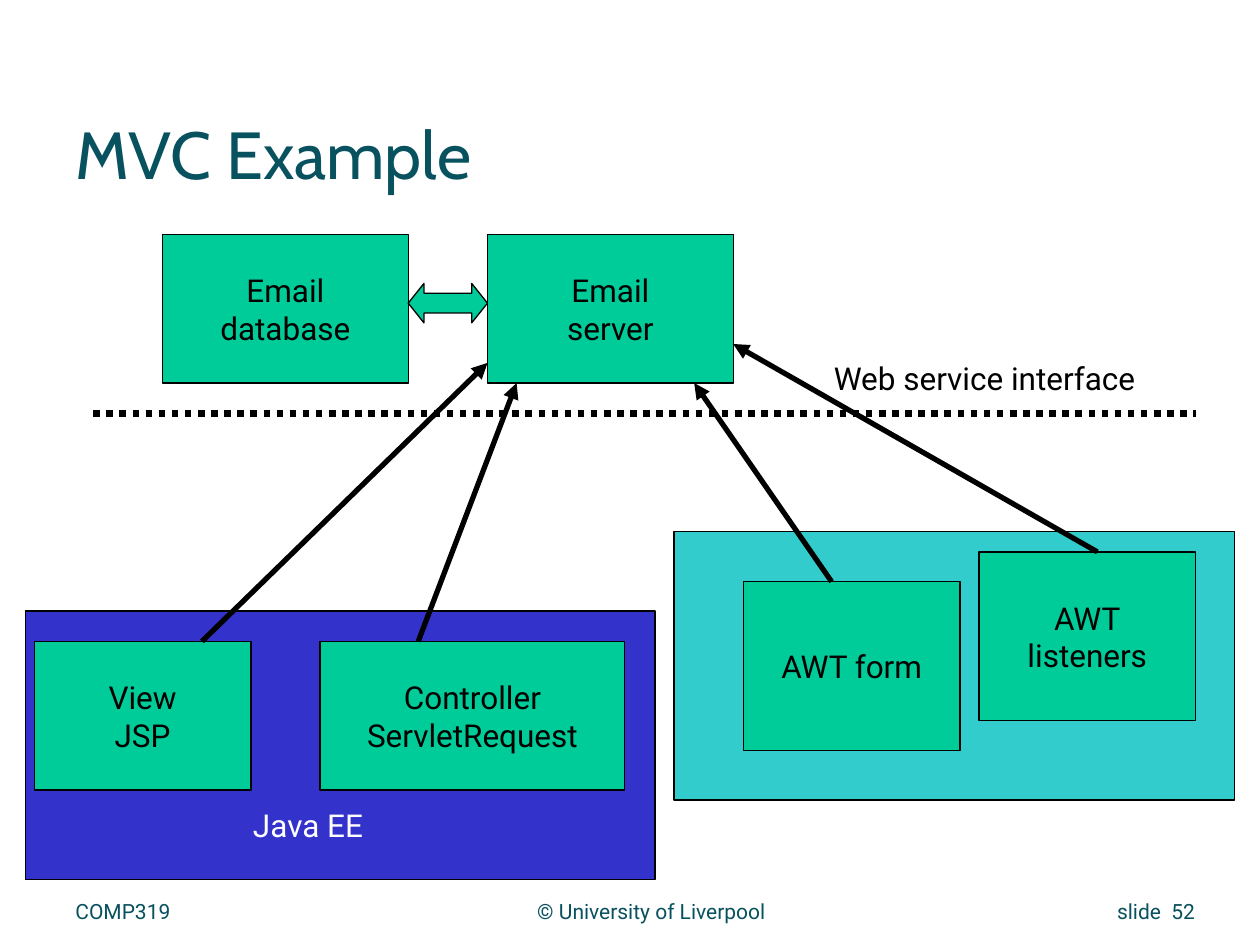
from lxml import etree
from pptx import Presentation
from pptx.dml.color import RGBColor
from pptx.enum.dml import MSO_LINE
from pptx.enum.shapes import MSO_CONNECTOR, MSO_SHAPE
from pptx.enum.text import MSO_ANCHOR, MSO_AUTO_SIZE, PP_ALIGN
from pptx.oxml.ns import qn
from pptx.util import Pt

LEFT, CENTER, RIGHT = PP_ALIGN.LEFT, PP_ALIGN.CENTER, PP_ALIGN.RIGHT
TOP, MIDDLE = MSO_ANCHOR.TOP, MSO_ANCHOR.MIDDLE
RECTANGLE, DOUBLE_ARROW = MSO_SHAPE.RECTANGLE, MSO_SHAPE.LEFT_RIGHT_ARROW
STRAIGHT = MSO_CONNECTOR.STRAIGHT
DOTTED = MSO_LINE.ROUND_DOT
NO_AUTOFIT = MSO_AUTO_SIZE.NONE
TITLE_ONLY = 5

COLORS = {
    "teal": "08515E",
    "black": "000000",
    "white": "FFFFFF",
    "component": "00CC99",
    "desktop": "33CCCC",
    "java": "3333CC",
}


def color(name):
    """Return the palette colour of that name."""
    return RGBColor.from_string(COLORS[name])


def write_text(box, text, size=18, font="Roboto", ink="black",
               align=LEFT, anchor=TOP, wrap=True):
    """Fill a shape with one formatted paragraph per line of text."""
    frame = box.text_frame
    frame.text = text
    frame.auto_size = NO_AUTOFIT
    frame.word_wrap = wrap
    frame.vertical_anchor = anchor
    for para in frame.paragraphs:
        para.alignment = align
        for span in para.runs:
            span.font.size = Pt(size)
            span.font.name = font
            span.font.color.rgb = color(ink)


def add_title(page, text, left, top, width, height):
    """Place and format the title placeholder."""
    title = page.shapes.title
    title.left, title.top = Pt(left), Pt(top)
    title.width, title.height = Pt(width), Pt(height)
    write_text(title, text, size=38, font="Cabin", ink="teal", anchor=MIDDLE)


def add_label(page, text, left, top, width, height, **style):
    """Add a free-standing text box."""
    box = page.shapes.add_textbox(Pt(left), Pt(top), Pt(width), Pt(height))
    write_text(box, text, **style)


def add_block(page, left, top, width, height, fill="component",
              text=None, kind=RECTANGLE):
    """Add a filled, outlined shape with optional centred text."""
    block = page.shapes.add_shape(kind, Pt(left), Pt(top), Pt(width), Pt(height))
    block.shadow.inherit = False
    block.fill.solid()
    block.fill.fore_color.rgb = color(fill)
    block.line.color.rgb = color("black")
    block.line.width = Pt(0.75)
    if text:
        write_text(block, text, align=CENTER, anchor=MIDDLE, wrap=False)
    return block


def add_line(page, start, end, width=3, dash=None, arrow=False):
    """Add a straight black line, optionally dashed or with an arrowhead."""
    line = page.shapes.add_connector(STRAIGHT, *map(Pt, start + end))
    line.line.color.rgb = color("black")
    line.line.width = Pt(width)
    if dash:
        line.line.dash_style = dash
    if arrow:
        outline = line.line._get_or_add_ln()
        etree.SubElement(outline, qn("a:tailEnd"), type="triangle")
    etree.SubElement(line._element.spPr, qn("a:effectLst"))


def main():
    """Build the MVC example slide."""
    deck = Presentation()
    deck.slide_width, deck.slide_height = Pt(720), Pt(540)
    page = deck.slides.add_slide(deck.slide_layouts[TITLE_ONLY])

    add_title(page, "MVC Example", 36, 61.2, 648, 51.8)
    for text, left, width, align in (
        ("© University of Liverpool", 288, 168.5, CENTER),
        ("COMP319", 36, 240, LEFT),
        ("slide  52", 582, 108, RIGHT),
    ):
        add_label(page, text, left, 509.8, width, 30,
                  size=12, ink="teal", align=align)

    add_block(page, 385.2, 303.8, 320.4, 153.4, fill="desktop")
    add_block(page, 14.4, 349.2, 360, 153.4, fill="java")
    for text, left, top, width, height in (
        ("Email\ndatabase", 92.9, 133.9, 140.4, 85),
        ("Email\nserver", 278.6, 133.9, 140.4, 85),
        ("View\nJSP", 19.6, 366.5, 123.8, 85),
        ("Controller\nServletRequest", 182.9, 366.5, 174.2, 85),
        ("AWT form", 424.8, 332.4, 123.8, 96.5),
        ("AWT\nlisteners", 559.4, 315.4, 123.8, 96.5),
    ):
        add_block(page, left, top, width, height, text=text)

    exchange = add_block(page, 233.3, 162, 45.3, 22.5, kind=DOUBLE_ARROW)
    exchange.adjustments[0] = 0.5
    exchange.adjustments[1] = 0.4

    for start, end in (
        ((115.4, 366.5), (278.6, 207.4)),
        ((239, 366.5), (295.2, 218.9)),
        ((475.2, 332.4), (396.7, 218.9)),
        ((627.1, 315.4), (419, 196.6)),
    ):
        add_line(page, start, end, arrow=True)

    add_label(page, "Java EE", 137.5, 457.2, 98.6, 38.9, ink="white")
    add_line(page, (53.3, 236.2), (683.3, 236.2), width=3.75, dash=DOTTED)
    add_label(page, "Web service interface", 469.4, 201.6, 241.9, 38.9)

    deck.save("out.pptx")


if __name__ == "__main__":
    main()
